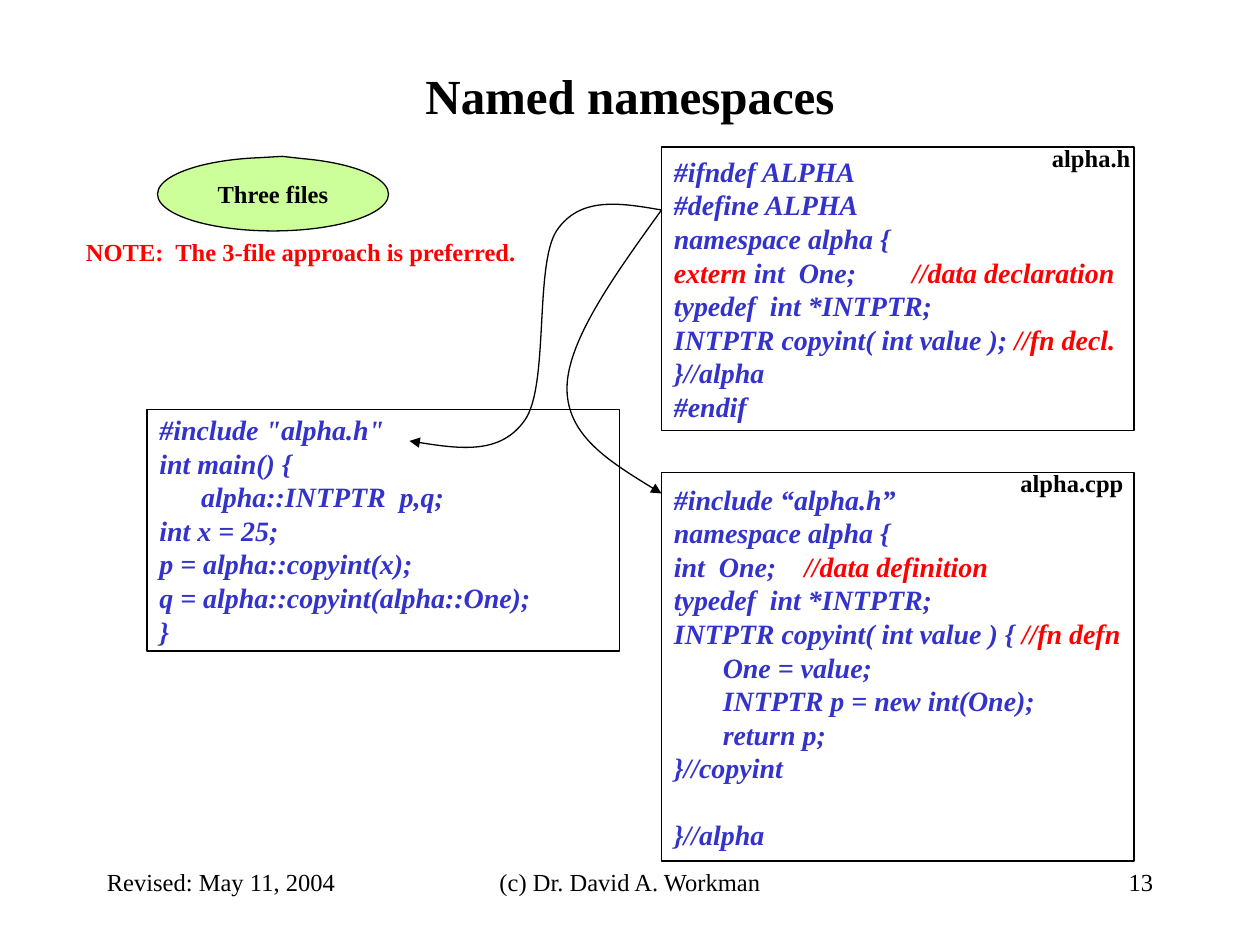
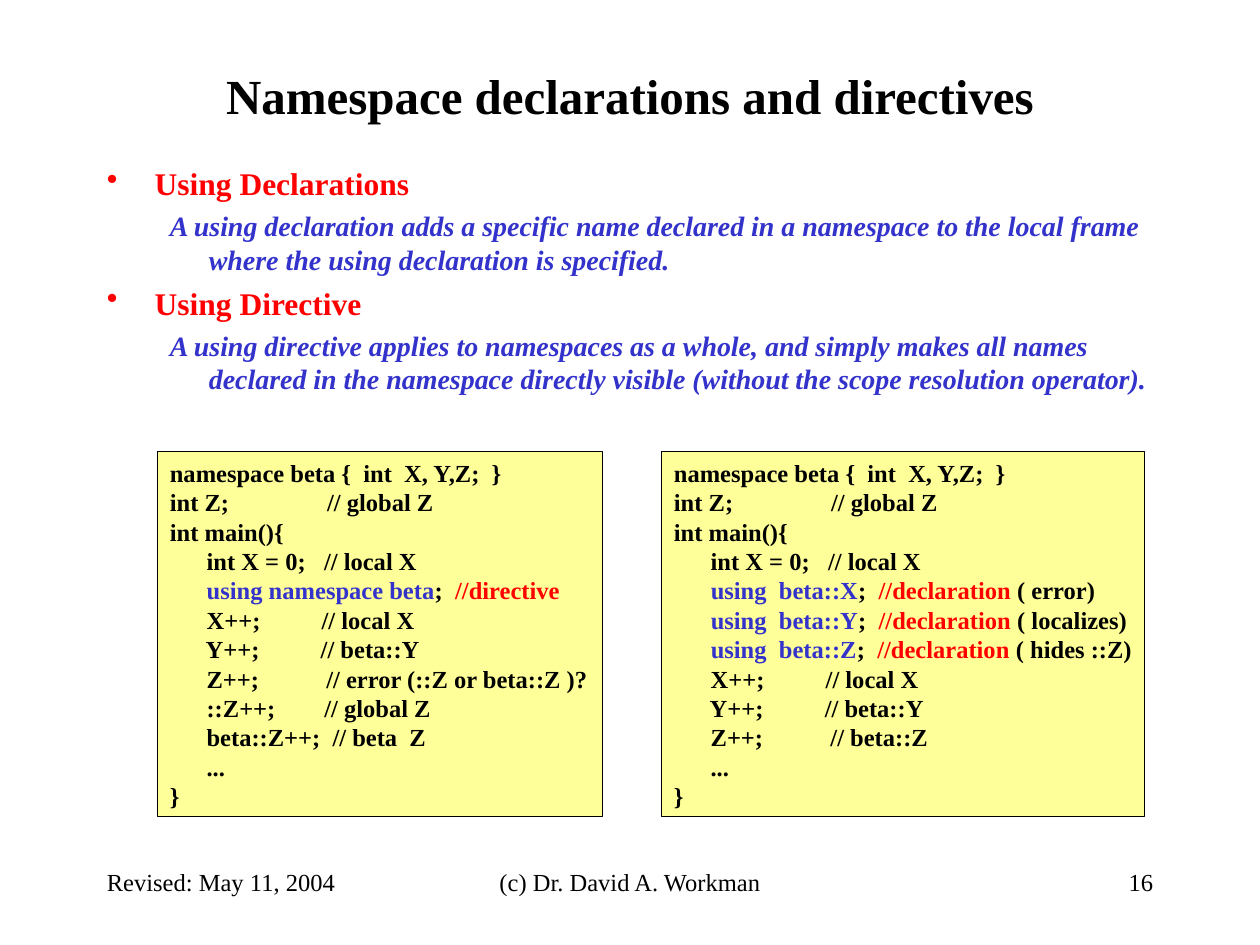
from collections import namedtuple

from lxml.etree import SubElement
from pptx import Presentation
from pptx.dml.color import RGBColor
from pptx.enum.shapes import MSO_SHAPE
from pptx.enum.text import MSO_ANCHOR, PP_ALIGN
from pptx.oxml.ns import qn
from pptx.util import Inches, Pt

BLACK = RGBColor(0, 0, 0)
WHITE = RGBColor(255, 255, 255)
RED = RGBColor(255, 0, 0)
BLUE = RGBColor(0x33, 0x33, 0xCC)
GREEN = RGBColor(0xCC, 0xFF, 0x99)
YELLOW = RGBColor(0xFF, 0xFF, 0x99)
FONT = "Times New Roman"
CELL = Inches(1) // 12
COLUMNS, ROWS = 120, 90
MARGIN = 9
RIGHT_COLUMN = 63
CODE_LINE = 19

Box = namedtuple("Box", "left top width height")

HEADER_CODE = [
    "#ifndef ALPHA",
    "#define ALPHA",
    "namespace alpha {",
    [("extern ", RED), "int  One;        ", ("//data declaration", RED)],
    "typedef  int *INTPTR;",
    ["INTPTR copyint( int value ); ", ("//fn decl.", RED)],
    "}//alpha",
    "#endif",
]
MAIN_CODE = [
    '#include "alpha.h"',
    "int main() {",
    "      alpha::INTPTR  p,q;",
    "int x = 25;",
    "p = alpha::copyint(x);",
    "q = alpha::copyint(alpha::One);",
    "}",
]
SOURCE_CODE = [
    "#include “alpha.h”",
    "namespace alpha {",
    ["int  One;    ", ("//data definition", RED)],
    "typedef  int *INTPTR;",
    ["INTPTR copyint( int value ) { ", ("//fn defn", RED)],
    "       One = value;",
    "       INTPTR p = new int(One);",
    "       return p;",
    "}//copyint",
    "}//alpha",
]
BETA_START = [
    "namespace beta {  int  X, Y,Z;  }",
    "int Z;                // global Z",
    "int main(){",
    "      int X = 0;   // local X",
]
BETA_STEPS = ["      X++;          // local X", "      Y++;          // beta::Y"]
BETA_END = ["      ...", "}"]
DIRECTIVE_CODE = [
    *BETA_START,
    ["      ", ("using namespace beta", BLUE), ";  ", ("//directive", RED)],
    *BETA_STEPS,
    "      Z++;           // error (::Z or beta::Z )?",
    "      ::Z++;        // global Z",
    "      beta::Z++;  // beta  Z",
    *BETA_END,
]
DECLARATION_CODE = [
    *BETA_START,
    *(["      ", (f"using  beta::{name}", BLUE), ";  ", ("//declaration ", RED), effect]
      for name, effect in (("X", "( error)"), ("Y", "( localizes)"), ("Z", "( hides ::Z)"))),
    *BETA_STEPS,
    "      Z++;           // beta::Z",
    *BETA_END,
]
USES = [
    ("Using Declarations",
     "A using declaration adds a specific name declared in a namespace to the local "
     "frame where the using declaration is specified."),
    ("Using Directive",
     "A using directive applies to namespaces as a whole, and simply makes all names "
     "declared in the namespace directly visible (without the scope resolution operator)."),
]


def cells(*counts):
    """Turn grid counts into lengths."""
    return [round(count * CELL) for count in counts]


def write(paragraph, parts, size=14, color=BLACK, bold=True, italic=False,
          align=PP_ALIGN.LEFT, before=0):
    """Write plain or (text, colour) parts into one paragraph."""
    paragraph.alignment = align
    if before:
        paragraph.space_before = Pt(before)
    for part in [parts] if isinstance(parts, str) else parts:
        text, shade = (part, color) if isinstance(part, str) else part
        run = paragraph.add_run()
        run.text = text
        font = run.font
        font.name, font.size, font.bold, font.italic = FONT, Pt(size), bold, italic
        font.color.rgb = shade


def write_lines(frame, lines, anchor=MSO_ANCHOR.TOP, wrap=False, **style):
    """Fill a text frame with one paragraph per line."""
    frame.word_wrap = wrap
    frame.vertical_anchor = anchor
    for index, line in enumerate(lines):
        write(frame.paragraphs[0] if index == 0 else frame.add_paragraph(), line, **style)
    return frame.paragraphs


def add_label(slide, box, text, **style):
    """Place a line of text without an outline."""
    label = slide.shapes.add_textbox(*cells(*box))
    write_lines(label.text_frame, [text], **style)


def outline(shape):
    """Give a shape the thin black line and no shadow."""
    shape.shadow.inherit = False
    shape.line.color.rgb = BLACK
    shape.line.width = Pt(0.75)


def add_panel(slide, box, lines, fill, kind=MSO_SHAPE.RECTANGLE, **style):
    """Draw an outlined shape holding lines of text."""
    panel = slide.shapes.add_shape(kind, *cells(*box))
    outline(panel)
    panel.fill.solid()
    panel.fill.fore_color.rgb = fill
    write_lines(panel.text_frame, lines, **style)
    return panel


def add_code_file(slide, box, lines):
    """Draw a white panel of code and return its paragraphs."""
    panel = add_panel(slide, box, lines, WHITE, size=16, color=BLUE, italic=True,
                      anchor=MSO_ANCHOR.MIDDLE)
    return panel.text_frame.paragraphs


def add_include_arrow(slide, points):
    """Draw a Bézier curve through the points, ending in an arrowhead."""
    start, *controls = [cells(*point) for point in points]
    builder = slide.shapes.build_freeform(*start)
    builder.add_line_segments(controls, close=False)
    arrow = builder.convert_to_shape()
    outline(arrow)
    arrow.fill.background()
    segments = list(arrow.element.iter(qn("a:lnTo")))
    for first in range(0, len(segments), 3):
        curve = SubElement(segments[first].getparent(), qn("a:cubicBezTo"))
        for segment in segments[first:first + 3]:
            curve.append(segment[0])
            segment.getparent().remove(segment)
    SubElement(arrow.line._get_or_add_ln(), qn("a:tailEnd"), type="triangle")


def add_page(deck, title, number):
    """Add a blank slide with its title and footers."""
    slide = deck.slides.add_slide(deck.slide_layouts[6])
    add_label(slide, Box(MARGIN, 5, COLUMNS - 2 * MARGIN, 8), title, size=28,
              align=PP_ALIGN.CENTER, anchor=MSO_ANCHOR.MIDDLE, wrap=True)
    side = 25
    footers = [
        (MARGIN, side, "Revised: May 11, 2004", PP_ALIGN.LEFT),
        (41, 38, "(c) Dr. David A. Workman", PP_ALIGN.CENTER),
        (COLUMNS - MARGIN - side, side, str(number), PP_ALIGN.RIGHT),
    ]
    for left, width, text, align in footers:
        add_label(slide, Box(left, ROWS - 8, width, 6), text, bold=False, align=align, wrap=True)
    return slide


def add_uses(slide, box):
    """List each use as a red bullet with its blue explanation."""
    frame = slide.shapes.add_textbox(*cells(*box)).text_frame
    frame.word_wrap = True
    for index, (use, meaning) in enumerate(USES):
        heading = frame.add_paragraph() if index else frame.paragraphs[0]
        indent(heading, 0.38, -0.38)
        bullet = heading._p.get_or_add_pPr()
        tint = SubElement(bullet, qn("a:buClr"))
        SubElement(tint, qn("a:srgbClr"), val=str(RED))
        SubElement(bullet, qn("a:buChar"), char="•")
        write(heading, use, size=18, color=RED, before=4.5 if index else 0)
        explanation = frame.add_paragraph()
        indent(explanation, 0.81, -0.31)
        write(explanation, meaning, size=16, color=BLUE, italic=True, before=4)


def indent(paragraph, margin, first):
    """Set the left margin and first-line indent in inches."""
    properties = paragraph._p.get_or_add_pPr()
    properties.set("marL", str(Inches(margin)))
    properties.set("indent", str(Inches(first)))


def add_named_slide(deck):
    """Show the three files of a named namespace."""
    slide = add_page(deck, "Named namespaces", 13)
    callout = add_panel(slide, Box(15, 15, 22, 7), ["Three files"], GREEN,
                        kind=MSO_SHAPE.OVAL_CALLOUT, align=PP_ALIGN.CENTER,
                        anchor=MSO_ANCHOR.MIDDLE)
    callout.adjustments[0], callout.adjustments[1] = 0.04, -0.515
    add_code_file(slide, Box(RIGHT_COLUMN, 14, 45, 27), HEADER_CODE)
    add_label(slide, Box(99, 13, 9.84, 4), "alpha.h")
    add_code_file(slide, Box(14, 39, 45, 23), MAIN_CODE)
    add_label(slide, Box(7, 22, 43.56, 4), "NOTE:  The 3-file approach is preferred.", color=RED)
    source = add_code_file(slide, Box(RIGHT_COLUMN, 45, 45, 37), SOURCE_CODE)
    source[-1].space_before = Pt(CODE_LINE)
    add_label(slide, Box(96, 44, 12.24, 4), "alpha.cpp")
    header = (RIGHT_COLUMN, 20)
    add_include_arrow(slide, [header, (59, 19.3), (55.2, 18.7), (53, 22), (50.9, 25.3),
                              (52.3, 36.7), (50, 40), (47.7, 43.3), (43.3, 42.7), (39, 42)])
    add_include_arrow(slide, [header, (58.5, 26.25), (54, 32.5), (54, 37),
                              (54, 41.5), (58.5, 44.25), (RIGHT_COLUMN, 47)])


def add_using_slide(deck):
    """Compare using directives with using declarations."""
    slide = add_page(deck, "Namespace declarations and directives", 16)
    add_uses(slide, Box(MARGIN, 15, COLUMNS - 2 * MARGIN, 28))
    for left, width, lines in ((15, 42.36, DIRECTIVE_CODE), (RIGHT_COLUMN, 46, DECLARATION_CODE)):
        add_panel(slide, Box(left, 43, width, 34.8), lines, YELLOW)


def main():
    """Build and save the deck."""
    deck = Presentation()
    deck.slide_width, deck.slide_height = cells(COLUMNS, ROWS)
    add_named_slide(deck)
    add_using_slide(deck)
    deck.save("out.pptx")


if __name__ == "__main__":
    main()
